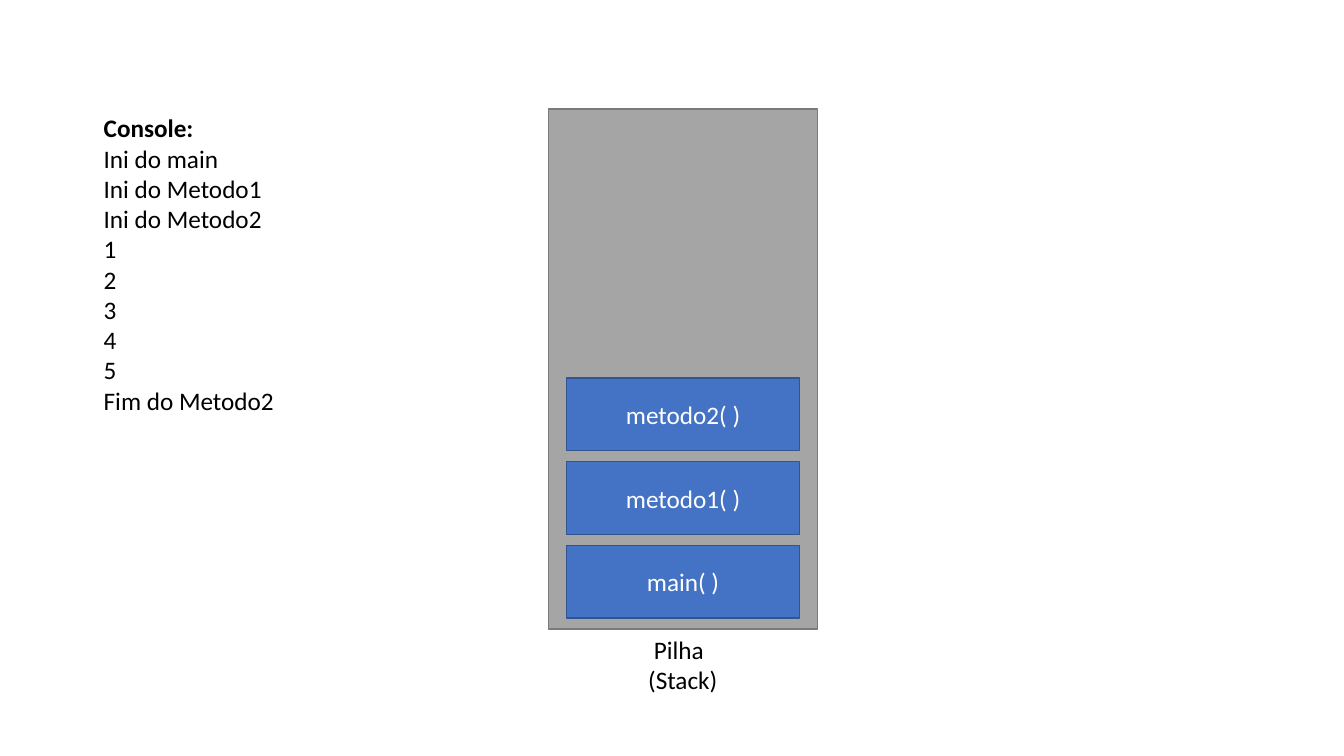
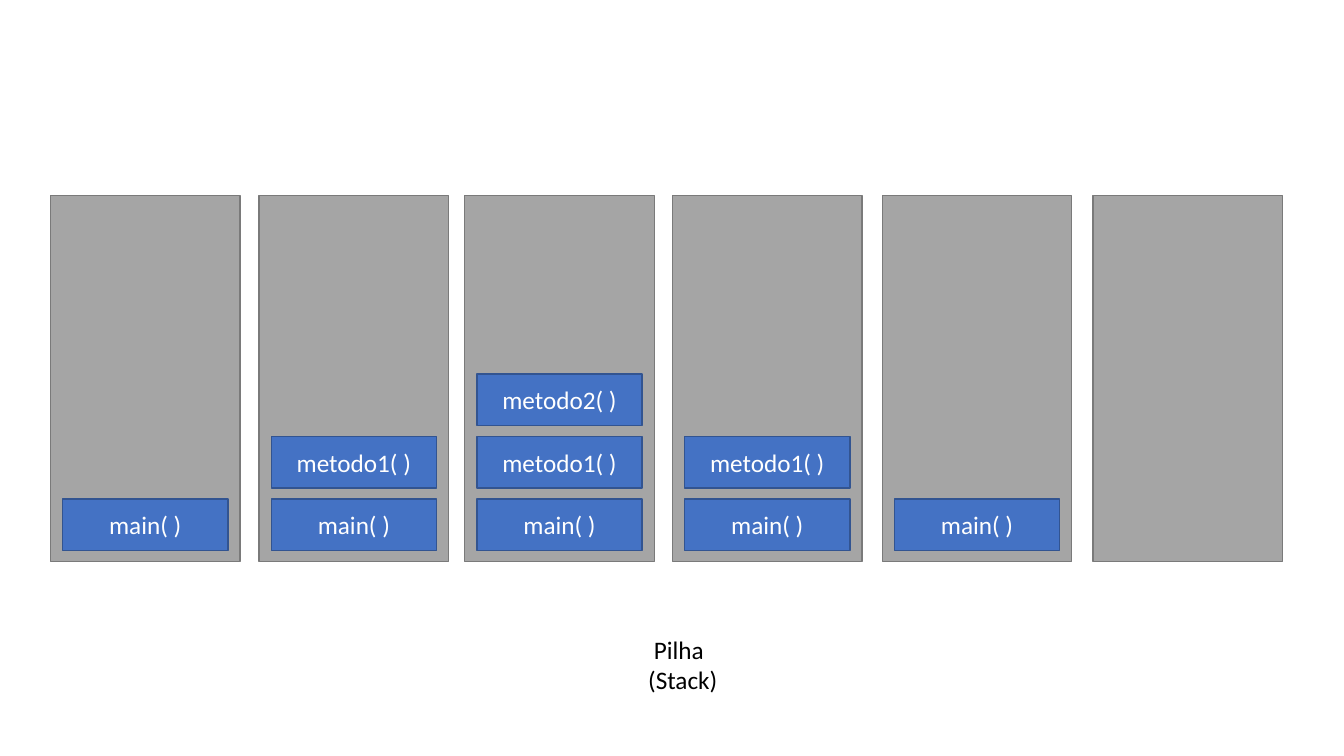
"""Builds two slides showing how method calls pile up on the stack."""
from pptx import Presentation
from pptx.dml.color import RGBColor
from pptx.enum.shapes import MSO_SHAPE
from pptx.enum.text import MSO_ANCHOR, MSO_AUTO_SIZE, PP_ALIGN
from pptx.util import Inches, Pt

FONT = "Calibri"
TEXT_SIZE = Pt(18)
BLACK, WHITE = "000000", "FFFFFF"
STACK_FILL, STACK_LINE = "A5A5A5", "7A7A7A"
CALL_FILL, CALL_LINE = "4472C4", "325491"
CALL_GAP = 0.11
CALLS = ["main( )", "metodo1( )", "metodo2( )"]
CONSOLE = ["Console:", "Ini do main", "Ini do Metodo1", "Ini do Metodo2",
           "1", "2", "3", "4", "5", "Fim do Metodo2"]


def write(frame, lines, color, align):
    frame.text = "\n".join(lines)
    for paragraph in frame.paragraphs:
        paragraph.alignment = align
        for run in paragraph.runs:
            run.font.name = FONT
            run.font.size = TEXT_SIZE
            run.font.color.rgb = RGBColor.from_string(color)


def add_box(slide, left, top, width, height, fill, line):
    box = slide.shapes.add_shape(MSO_SHAPE.RECTANGLE, Inches(left), Inches(top),
                                 Inches(width), Inches(height))
    box.shadow.inherit = False
    box.fill.solid()
    box.fill.fore_color.rgb = RGBColor.from_string(fill)
    box.line.color.rgb = RGBColor.from_string(line)
    box.line.width = Pt(1)
    return box


prs = Presentation()
prs.slide_width, prs.slide_height = Inches(13.33), Inches(7.5)
console_slide, history_slide = [prs.slides.add_slide(prs.slide_layouts[6]) for _ in range(2)]

large = (1.08, 2.67, 5.16, 0.18, 0.72)
small = (1.94, 1.88, 3.63, 0.12, 0.51)
stacks = [(console_slide, 5.44, large, 3)]
for left, depth in zip([0.5, 2.57, 4.61, 6.67, 8.75, 10.84], [1, 2, 3, 2, 1, 0]):
    stacks.append((history_slide, left, small, depth))

for slide, left, (top, width, height, inset, call_height), depth in stacks:
    add_box(slide, left, top, width, height, STACK_FILL, STACK_LINE)
    for level, call in enumerate(CALLS[:depth], start=1):
        call_top = top + height - level * (call_height + CALL_GAP)
        call_box = add_box(slide, left + inset, call_top, width - 2 * inset, call_height,
                           CALL_FILL, CALL_LINE)
        call_box.text_frame.vertical_anchor = MSO_ANCHOR.MIDDLE
        write(call_box.text_frame, [call], WHITE, PP_ALIGN.CENTER)

caption = [" Pilha", "(Stack)"]
labels = [
    (console_slide, caption, 6.33, 6.24, 0.89, 0.71),
    (history_slide, caption, 6.33, 6.24, 0.89, 0.71),
    (console_slide, CONSOLE, 0.93, 1.07, 1.91, 3.13),
]
for slide, lines, left, top, width, height in labels:
    label = slide.shapes.add_textbox(Inches(left), Inches(top), Inches(width), Inches(height))
    label.text_frame.word_wrap = False
    label.text_frame.auto_size = MSO_AUTO_SIZE.SHAPE_TO_FIT_TEXT
    write(label.text_frame, lines, BLACK, PP_ALIGN.LEFT)
    label.text_frame.paragraphs[0].runs[0].font.bold = lines is CONSOLE

prs.save("out.pptx")
